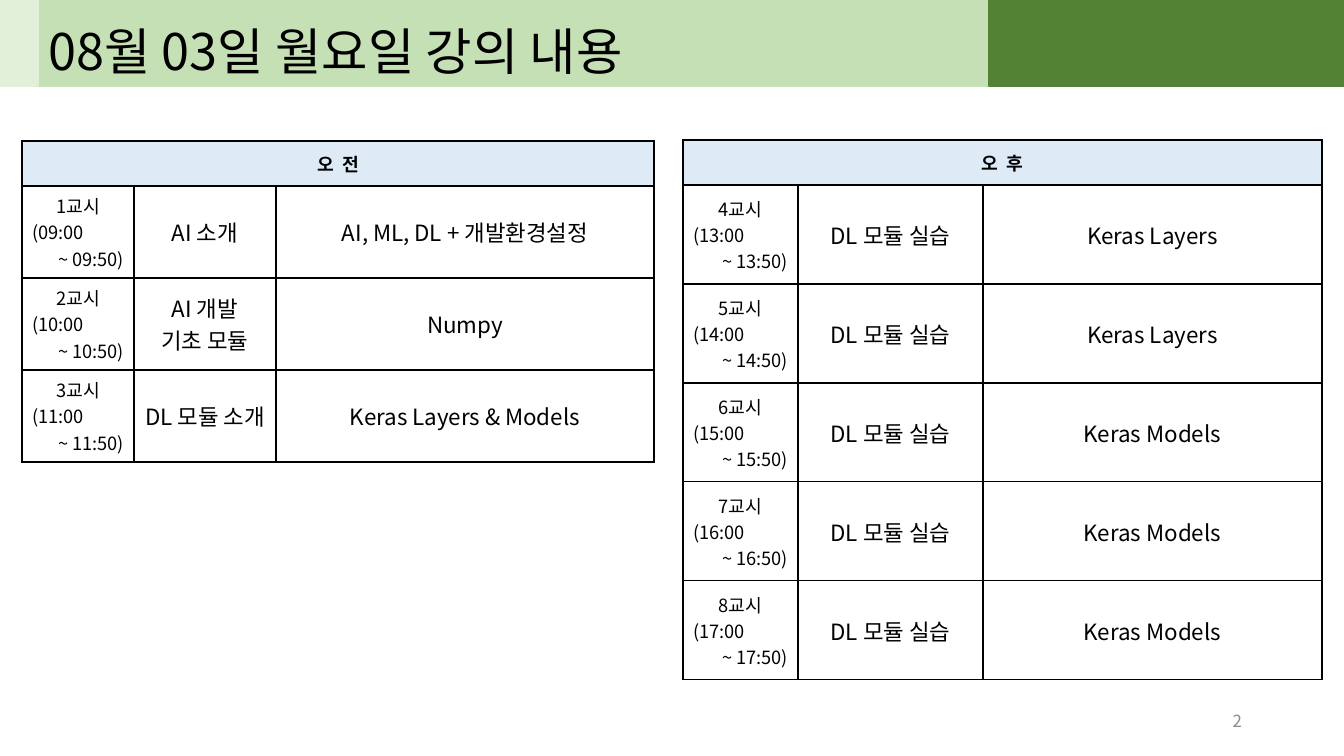
from dataclasses import dataclass
from itertools import cycle

from lxml.etree import SubElement
from pptx import Presentation
from pptx.dml.color import RGBColor
from pptx.enum.shapes import MSO_SHAPE
from pptx.enum.text import MSO_ANCHOR, MSO_AUTO_SIZE, PP_ALIGN
from pptx.oxml import parse_xml
from pptx.oxml.ns import nsdecls, qn
from pptx.util import Emu, Pt

SCALE = 914400 / 100.8
FONT = "Noto Sans CJK KR"
BLACK = RGBColor(0x00, 0x00, 0x00)
GREY = RGBColor(0x8C, 0x8C, 0x8C)
BLUE = RGBColor(0xDE, 0xEB, 0xF7)
PALE = RGBColor(0xE2, 0xF0, 0xD9)
LIGHT = RGBColor(0xC5, 0xE0, 0xB4)
DARK = RGBColor(0x54, 0x82, 0x35)
LEFT, MID, RIGHT = PP_ALIGN.LEFT, PP_ALIGN.CENTER, PP_ALIGN.RIGHT


@dataclass(frozen=True)
class Lesson:
    hour: int
    start: int
    topic: str
    detail: str


@dataclass(frozen=True)
class Session:
    name: str
    left: int
    top: int
    widths: tuple[int, ...]
    head: int
    row: int
    lessons: tuple[Lesson, ...]


@dataclass(frozen=True)
class Band:
    left: int
    width: int
    color: RGBColor


HEIGHT = 86
EDGES = (Band(0, 38, PALE), Band(989, 355, DARK))
CENTER = Band(38, 951, LIGHT)
SESSIONS = (
    Session("오  전", 22, 141, (112, 142, 378), 45, 92, (
        Lesson(1, 9, "AI 소개", "AI, ML, DL + 개발환경설정"),
        Lesson(2, 10, "AI 개발\n기초 모듈", "Numpy"),
        Lesson(3, 11, "DL 모듈 소개", "Keras Layers & Models"),
    )),
    Session("오  후", 683, 140, (115, 185, 339), 45, 99, tuple(
        Lesson(hour, hour + 9, "DL 모듈 실습",
               "Keras Layers" if hour < 6 else "Keras Models")
        for hour in range(4, 9)
    )),
)


def px(size: int) -> Emu:
    return Emu(round(size * SCALE))


def write(frame, text: str, *, size: int, color: RGBColor = BLACK,
          bold: bool = False, aligns: tuple = (MID,)) -> None:
    frame.word_wrap = True
    frame.text = text
    for para, align in zip(frame.paragraphs, cycle(aligns)):
        para.alignment = align
        for run in para.runs:
            font = run.font
            font.name, font.size, font.bold = FONT, Pt(size), bold
            font.color.rgb = color
            SubElement(run._r.rPr, qn("a:ea"), typeface=FONT)


def place(shape, left: int, top: int, width: int, height: int) -> None:
    shape.left, shape.top = px(left), px(top)
    shape.width, shape.height = px(width), px(height)


def paint(shape, color: RGBColor) -> None:
    shape.fill.solid()
    shape.fill.fore_color.rgb = color
    shape.line.color.rgb = color
    shape.line.width = Pt(1)


def frame_cell(cell) -> None:
    cell.vertical_anchor = MSO_ANCHOR.MIDDLE
    props = cell._tc.get_or_add_tcPr()
    for side in ("lnL", "lnR", "lnT", "lnB"):
        props.append(parse_xml(
            f'<a:{side} {nsdecls("a")} w="{Pt(1)}"><a:solidFill>'
            f'<a:srgbClr val="{BLACK}"/></a:solidFill></a:{side}>'))
    cell.fill.background()


def fill_row(cells, lesson: Lesson) -> None:
    time, *rest = cells
    clock = f"{lesson.start:02}"
    write(time.text_frame, f"{lesson.hour}교시\n({clock}:00\n~ {clock}:50)",
          size=13, aligns=(MID, LEFT, RIGHT))
    for cell, text in zip(rest, (lesson.topic, lesson.detail)):
        cell.margin_left = cell.margin_right = 0
        cell.margin_top = cell.margin_bottom = 0
        write(cell.text_frame, text, size=16)


def draw_table(slide, plan: Session) -> None:
    count = len(plan.lessons)
    table = slide.shapes.add_table(
        count + 1, len(plan.widths), px(plan.left), px(plan.top),
        px(sum(plan.widths)), px(plan.head + count * plan.row)).table
    table.first_row = table.horz_banding = False
    for column, width in zip(table.columns, plan.widths):
        column.width = px(width)
    for row in table.rows:
        row.height = px(plan.row)
    table.rows[0].height = px(plan.head)
    for cell in table.iter_cells():
        frame_cell(cell)
    head = table.cell(0, 0)
    head.merge(table.cell(0, len(plan.widths) - 1))
    head.fill.solid()
    head.fill.fore_color.rgb = BLUE
    write(head.text_frame, plan.name, size=13, bold=True)
    for index, lesson in enumerate(plan.lessons, 1):
        fill_row(table.rows[index].cells, lesson)


def draw_title(slide) -> None:
    title = slide.shapes.title
    place(title, CENTER.left, 0, CENTER.width, HEIGHT)
    paint(title, CENTER.color)
    frame = title.text_frame
    frame.auto_size = MSO_AUTO_SIZE.NONE
    frame.vertical_anchor = MSO_ANCHOR.BOTTOM
    write(frame, "08월 03일 월요일 강의 내용", size=36, aligns=(LEFT,))


def draw_band(slide, band: Band) -> None:
    shape = slide.shapes.add_shape(
        MSO_SHAPE.RECTANGLE, px(band.left), 0, px(band.width), px(HEIGHT))
    shape.shadow.inherit = False
    paint(shape, band.color)


def draw_page(slide) -> None:
    box = slide.shapes.add_textbox(px(950), px(701), px(302), px(40))
    box.text_frame.vertical_anchor = MSO_ANCHOR.MIDDLE
    write(box.text_frame, "2", size=12, color=GREY, aligns=(RIGHT,))


def main() -> None:
    deck = Presentation()
    deck.slide_width, deck.slide_height = px(1344), px(756)
    slide = deck.slides.add_slide(deck.slide_layouts[5])
    draw_title(slide)
    for band in EDGES:
        draw_band(slide, band)
    for plan in SESSIONS:
        draw_table(slide, plan)
    draw_page(slide)
    deck.save("out.pptx")


if __name__ == "__main__":
    main()
